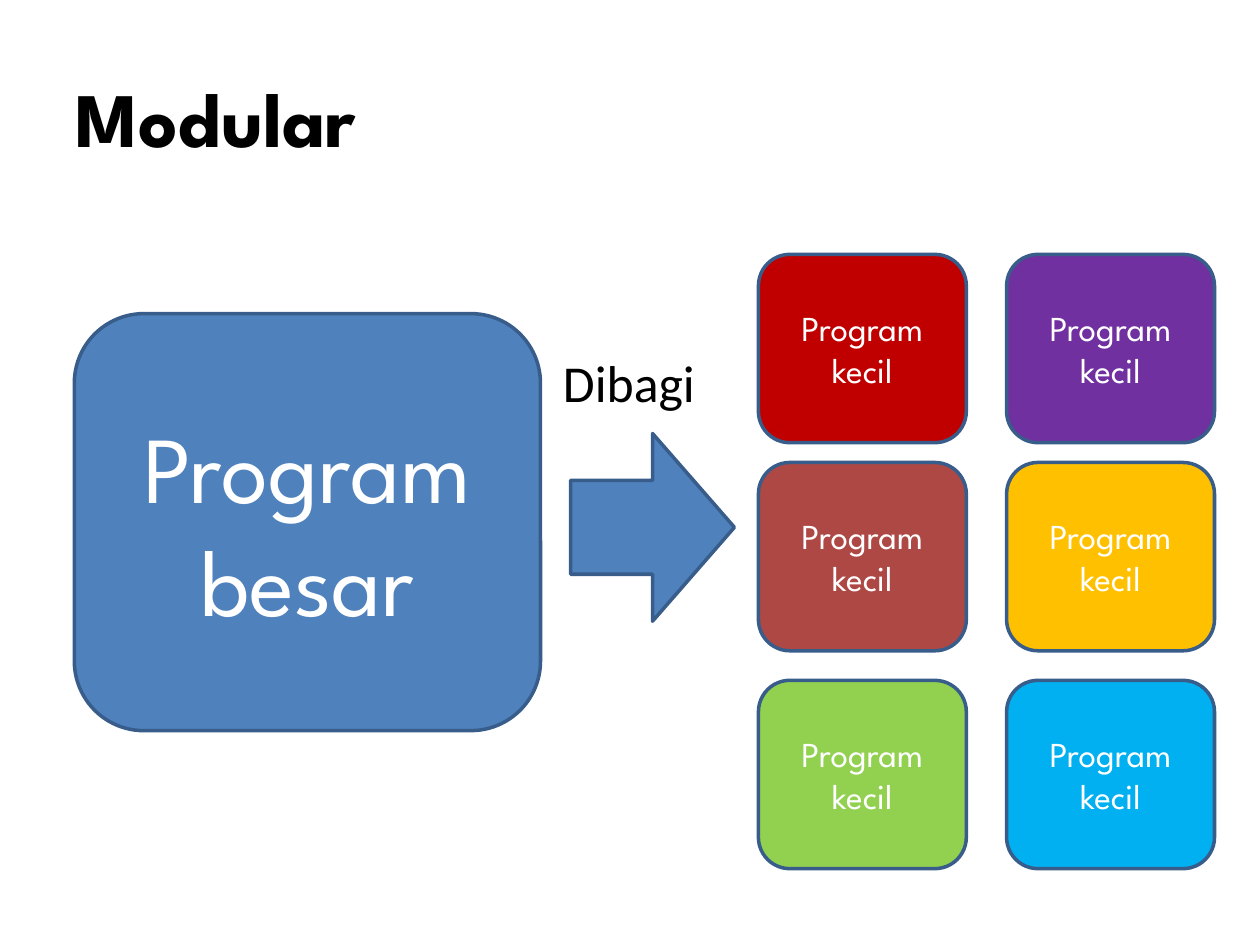
import pptx
import pptx.dml.color
import pptx.enum.shapes
import pptx.enum.text
import pptx.util

Pt = pptx.util.Pt
SHAPES = pptx.enum.shapes.MSO_SHAPE
ALIGN = pptx.enum.text.PP_ALIGN
ANCHOR = pptx.enum.text.MSO_ANCHOR
HEADING_FONT = "League Spartan"
BLUE = "4F81BD"
OUTLINE = "385D8A"
SMALL_PROGRAMS = [("C00000", "7030A0"), ("AE4845", "FFC000"), ("92D050", "00B0F0")]


def color(value):
    """Return the colour for a hex string."""
    return pptx.dml.color.RGBColor.from_string(value)


def write(shape, text, size, font, ink, align, anchor, bold=False):
    """Put one styled paragraph into a shape."""
    frame = shape.text_frame
    frame.word_wrap = True
    frame.vertical_anchor = anchor
    para = frame.paragraphs[0]
    para.text = text
    para.alignment = align
    para.font.size = Pt(size)
    para.font.name = font
    para.font.bold = bold
    para.font.color.rgb = color(ink)


def add_label(page, box, text, size, font, anchor, bold=False):
    """Add black left-aligned text in a box."""
    label = page.shapes.add_textbox(*map(Pt, box))
    write(label, text, size, font, "000000", ALIGN.LEFT, anchor, bold)


def add_block(page, kind, box, fill):
    """Add a filled, outlined preset shape."""
    block = page.shapes.add_shape(kind, *map(Pt, box))
    block.shadow.inherit = False
    block.fill.solid()
    block.fill.fore_color.rgb = color(fill)
    block.line.color.rgb = color(OUTLINE)
    block.line.width = Pt(2)
    return block


def add_program(page, box, text, size, fill):
    """Add a rounded program box with centred white text."""
    program = add_block(page, SHAPES.ROUNDED_RECTANGLE, box, fill)
    write(program, text, size, HEADING_FONT, "FFFFFF", ALIGN.CENTER, ANCHOR.MIDDLE)


def add_division(page, box):
    """Add the caption and the arrow below it."""
    left, top, width, height = box
    add_label(page, (left, top, 102.2, 45.4), "Dibagi", 29.6, "Calibri", ANCHOR.TOP)
    arrow_box = (left + 11.5, top + 51.1, width - 11.5, height - 51.1)
    add_block(page, SHAPES.RIGHT_ARROW, arrow_box, BLUE)


def add_small_programs(page, box):
    """Add the two-column grid of small programs."""
    left, top, width, height = box
    cell_width, cell_height = 118.8, 107.6
    column_step = width - cell_width
    row_offsets = (0, 118.9, height - cell_height)
    for offset, fills in zip(row_offsets, SMALL_PROGRAMS):
        for column, fill in enumerate(fills):
            cell = (left + column * column_step, top + offset, cell_width, cell_height)
            add_program(page, cell, "Program kecil", 20, fill)


def main():
    """Build and save the slide."""
    deck = pptx.Presentation()
    deck.slide_width, deck.slide_height = Pt(720), Pt(540)
    page = deck.slides.add_slide(deck.slide_layouts[6])
    add_label(page, (36, 21.6, 648, 90), "Modular", 44, HEADING_FONT, ANCHOR.MIDDLE, True)
    add_program(page, (42.5, 179.2, 266.4, 238.3), "Program besar", 54, BLUE)
    add_division(page, (314.6, 196.6, 105.1, 158.4))
    add_small_programs(page, (433.4, 145.4, 260.6, 351))
    deck.save("out.pptx")


if __name__ == "__main__":
    main()
